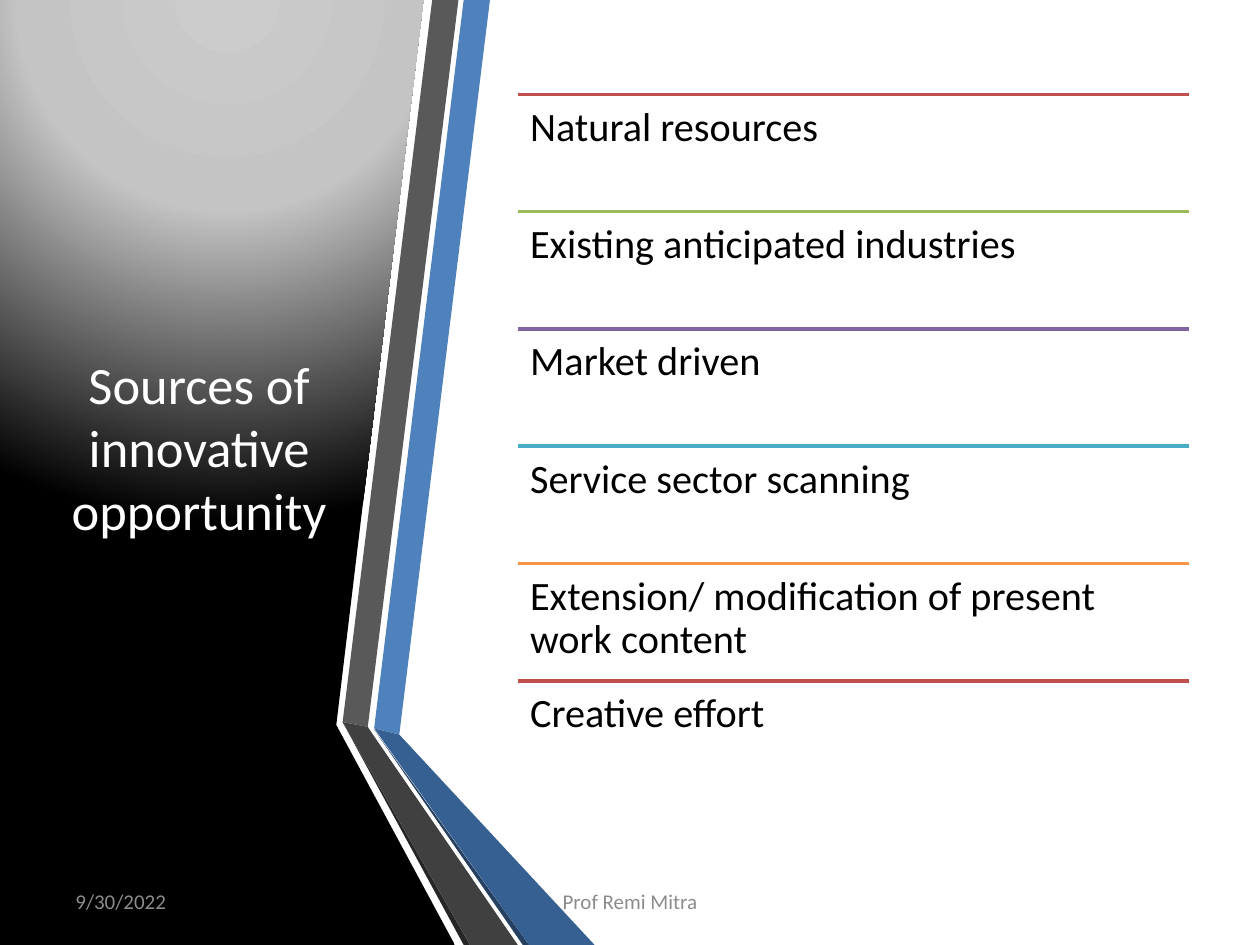
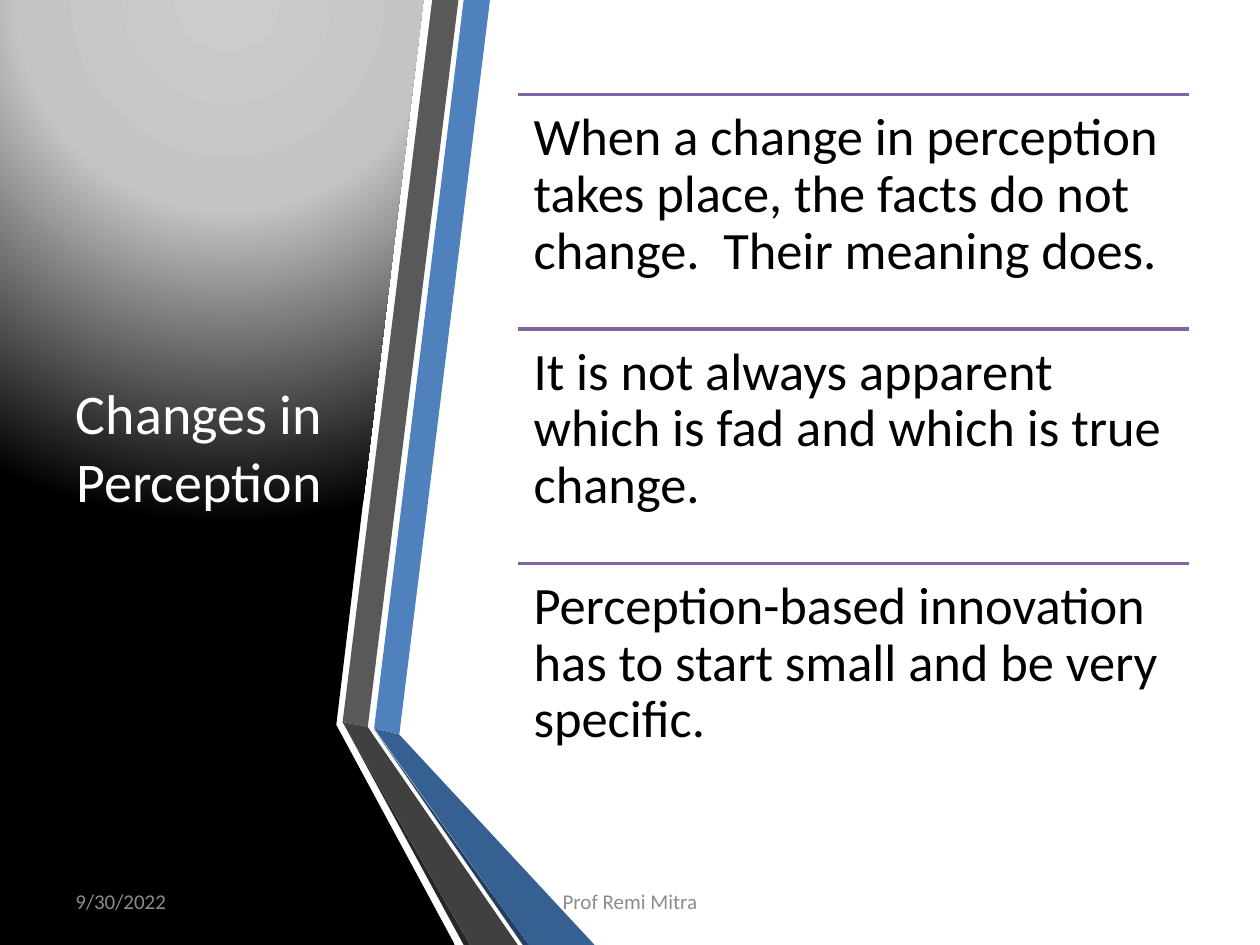
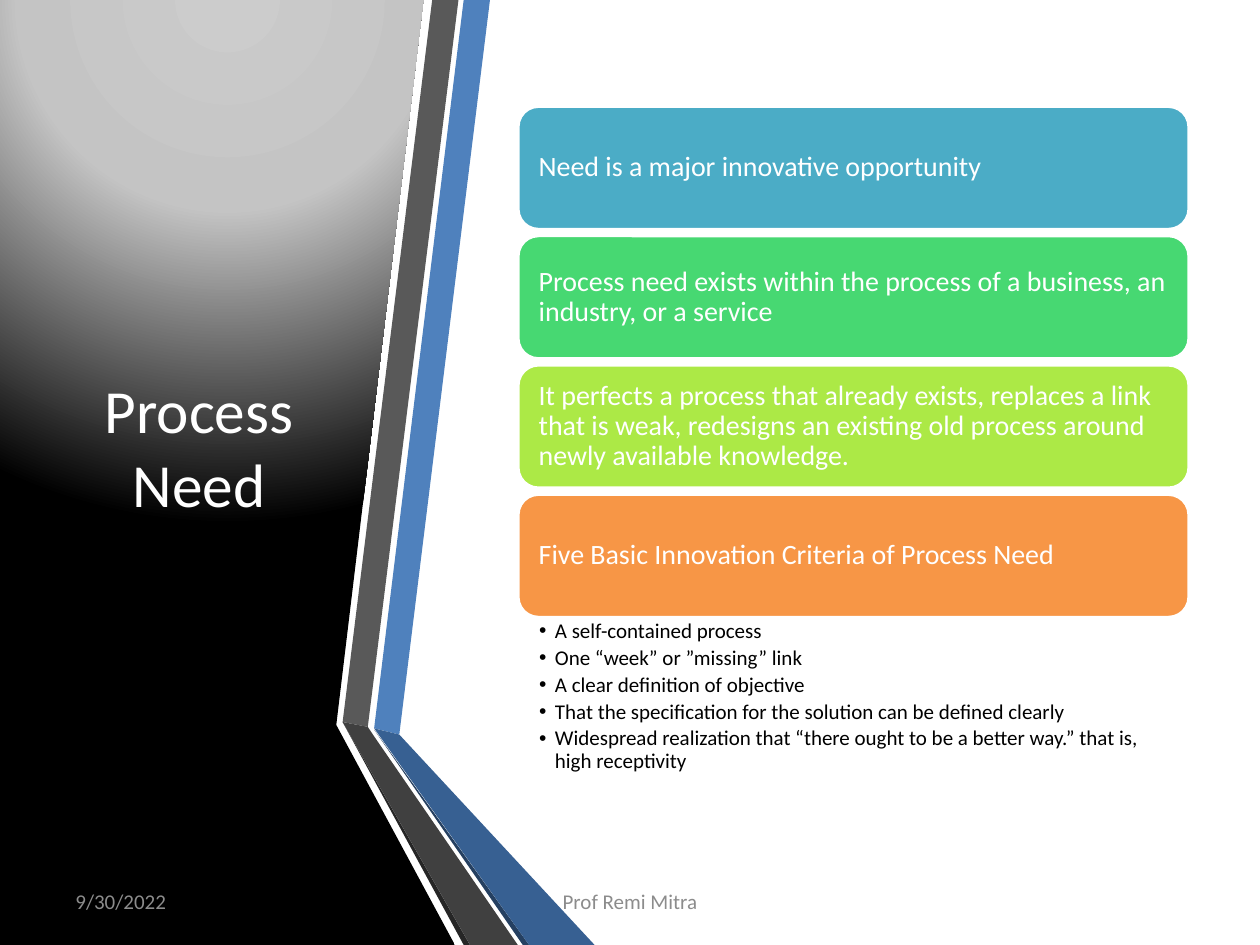
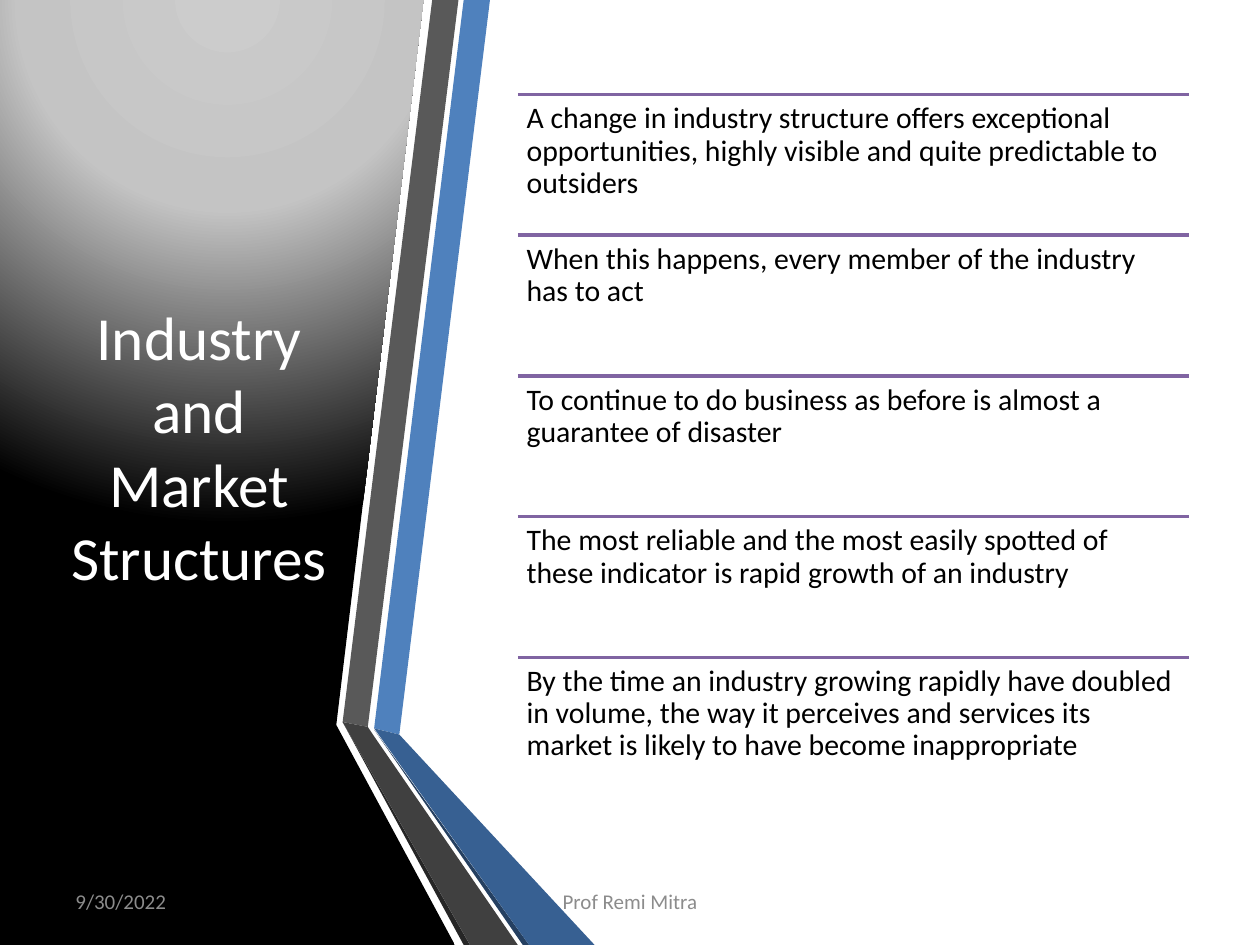
from dataclasses import dataclass
from itertools import cycle
from lxml.etree import SubElement
from pptx import Presentation
from pptx.dml.color import RGBColor
from pptx.enum.shapes import MSO_CONNECTOR, MSO_SHAPE
from pptx.enum.text import MSO_ANCHOR, MSO_AUTO_SIZE, PP_ALIGN
from pptx.oxml.ns import qn
from pptx.util import Pt


@dataclass(frozen=True)
class Theme:
    font: str = "Calibri"
    ink: str = "000000"
    paper: str = "FFFFFF"
    footer: str = "8C8C8C"
    blue: str = "4F81BD"
    deep_blue: str = "376092"
    navy: str = "254061"
    grey: str = "595959"
    charcoal: str = "404040"
    shade: str = "262626"
    red: str = "C0504D"
    green: str = "9BBB59"
    purple: str = "8064A2"
    teal: str = "4BACC6"
    orange: str = "F79646"
    emerald: str = "47D872"
    lime: str = "ACE946"
    glow: tuple = ((0, "CCCCCC"), (40, "C4C4C4"), (100, "000000"))
    card_size: float = 16
    small_size: float = 12
    rule_width: float = 2
    line_spacing: float = 0.9


THEME = Theme()

SLIDES = [
    {
        "title": "Sources of innovative opportunity", "title_size": 30,
        "rows": [
            "Natural resources",
            "Existing anticipated industries",
            "Market driven",
            "Service sector scanning",
            "Extension/ modification of present work content",
            "Creative effort",
        ],
        "row_size": 23, "inset": 7,
        "rules": [THEME.red, THEME.green, THEME.purple, THEME.teal, THEME.orange],
    },
    {
        "title": "Changes in Perception", "title_size": 32,
        "rows": [
            "When a change in perception takes place, the facts do not change.  Their meaning does.",
            "It is not always apparent which is fad and which is true change.",
            "Perception-based innovation has to start small and be very specific.",
        ],
        "row_size": 30, "inset": 9,
        "rules": [THEME.purple],
    },
    {
        "title": "Process Need", "title_size": 35,
        "cards": [
            ("Need is a major innovative opportunity", THEME.teal),
            ("Process need exists within the process of a business, an industry, or a service",
             THEME.emerald),
            ("It perfects a process that already exists, replaces a link that is weak, "
             "redesigns an existing old process around newly available knowledge.", THEME.lime),
            ("Five Basic Innovation Criteria of Process Need", THEME.orange),
        ],
        "criteria": [
            "A self-contained process",
            "One “week” or ”missing” link",
            "A clear definition of objective",
            "That the specification for the solution can be defined clearly",
            "Widespread realization that “there ought to be a better way.” that is, high receptivity",
        ],
    },
    {
        "title": "Industry and Market Structures", "title_size": 35,
        "rows": [
            "A change in industry structure offers exceptional opportunities, "
            "highly visible and quite predictable to outsiders",
            "When this happens, every member of the industry has to act",
            "To continue to do business as before is almost a guarantee of disaster",
            "The most reliable and the most easily spotted of these indicator "
            "is rapid growth of an industry",
            "By the time an industry growing rapidly have doubled in volume, the way it perceives "
            "and services its market is likely to have become inappropriate",
        ],
        "row_size": 17, "inset": 5,
        "rules": [THEME.purple],
    },
]

FOOTERS = [
    ("9/30/2022", (36, 500.5, 168, 28.75), PP_ALIGN.LEFT),
    ("Prof Remi Mitra", (246, 500.5, 228, 28.75), PP_ALIGN.CENTER),
]

PANEL = [(0, 0), (242, 0), (192.2, 414.3), (260, 540), (0, 540)]
BANDS = [
    (THEME.blue, [(213.8, 416.2), (228.2, 419.8), (280, 0), (265, 0)]),
    (THEME.grey, [(262, 0), (247, 0), (195.8, 412.6), (210.2, 415.4)]),
    (THEME.shade, [(195.8, 412.6), (265, 540), (268.6, 540)]),
    (THEME.navy, [(213.8, 416.9), (298.8, 540), (302.4, 540)]),
    (THEME.deep_blue, [(213.8, 416.2), (302.4, 540), (339.8, 540), (228.2, 419.8)]),
    (THEME.charcoal, [(295.9, 540), (213.1, 419.8), (210.2, 415.4), (195.8, 412.6), (268.6, 540)]),
]

TITLE_BOX = (31.7, 54, 164.2, 401.8)
LEFT, TOP, WIDTH, HEIGHT = 295.9, 54, 383.6, 402
CARD_TOP, CARD_HEIGHT, CARD_PITCH = 60.7, 70.5, 73.9
CARD_INSET = 8.5
CRITERIA_HEIGHT = 96.5
BULLET_INDENT = 9


def place(shape, box):
    shape.left, shape.top, shape.width, shape.height = map(Pt, box)


def fill_solid(shape, color):
    shape.fill.solid()
    shape.fill.fore_color.rgb = RGBColor.from_string(color)


def set_frame(frame, insets, anchor):
    frame.word_wrap = True
    frame.auto_size = MSO_AUTO_SIZE.NONE
    frame.vertical_anchor = anchor
    frame.margin_left, frame.margin_top, frame.margin_right, frame.margin_bottom = map(Pt, insets)


def style(paragraph, size, color, align=PP_ALIGN.LEFT, spacing=None):
    paragraph.alignment = align
    paragraph.line_spacing = spacing
    paragraph.font.name = THEME.font
    paragraph.font.size = Pt(size)
    paragraph.font.color.rgb = RGBColor.from_string(color)


def add_text(slide, text, box, inset, anchor, size, color, **paragraph_style):
    label = slide.shapes.add_textbox(*map(Pt, box))
    set_frame(label.text_frame, inset, anchor)
    label.text_frame.text = text
    style(label.text_frame.paragraphs[0], size, color, **paragraph_style)


def add_outline(shapes, points):
    corners = [(Pt(x), Pt(y)) for x, y in points]
    builder = shapes.build_freeform(*corners[0])
    builder.add_line_segments(corners[1:], close=True)
    outline = builder.convert_to_shape()
    outline.shadow.inherit = False
    outline.line.fill.background()
    return outline


def fill_glow(shape):
    shape.fill.gradient()
    gradient = shape.element.spPr.find(qn("a:gradFill"))
    for child in list(gradient):
        gradient.remove(child)
    stops = SubElement(gradient, qn("a:gsLst"))
    for percent, color in THEME.glow:
        stop = SubElement(stops, qn("a:gs"), pos=str(percent * 1000))
        SubElement(stop, qn("a:srgbClr"), val=color)
    circle = SubElement(gradient, qn("a:path"), **{"path": "circle"})
    SubElement(circle, qn("a:fillToRect"), l="50000", t="-80000", r="50000", b="180000")


def add_backdrop(slide):
    fill_glow(add_outline(slide.shapes, PANEL))
    bands = slide.shapes.add_group_shape()
    for color, points in BANDS:
        fill_solid(add_outline(bands.shapes, points), color)


def add_title(slide, text, size):
    title = slide.shapes.title
    slide.shapes.element.append(title.element)
    place(title, TITLE_BOX)
    set_frame(title.text_frame, (7.2, 3.6, 7.2, 3.6), MSO_ANCHOR.MIDDLE)
    title.text_frame.text = text
    style(title.text_frame.paragraphs[0], size, THEME.paper, PP_ALIGN.CENTER)


def add_rule(slide, y, color):
    rule = slide.shapes.add_connector(
        MSO_CONNECTOR.STRAIGHT, Pt(LEFT), Pt(y), Pt(LEFT + WIDTH), Pt(y))
    rule.line.width = Pt(THEME.rule_width)
    rule.line.color.rgb = RGBColor.from_string(color)
    SubElement(rule.element.spPr, qn("a:effectLst"))


def add_rows(slide, rows, size, inset, rules):
    row_height = HEIGHT / len(rows)
    for index, (text, color) in enumerate(zip(rows, cycle(rules))):
        y = TOP + index * row_height
        add_rule(slide, y, color)
        add_text(slide, text, (LEFT, y, WIDTH, row_height), [inset] * 4, MSO_ANCHOR.TOP,
                 size, THEME.ink, spacing=THEME.line_spacing)


def add_cards(slide, cards):
    for index, (text, color) in enumerate(cards):
        box = (LEFT, CARD_TOP + index * CARD_PITCH, WIDTH, CARD_HEIGHT)
        card = slide.shapes.add_shape(MSO_SHAPE.ROUNDED_RECTANGLE, *map(Pt, box))
        card.shadow.inherit = False
        fill_solid(card, color)
        card.line.width = Pt(THEME.rule_width)
        card.line.color.rgb = RGBColor.from_string(THEME.paper)
        set_frame(card.text_frame, [CARD_INSET] * 4, MSO_ANCHOR.MIDDLE)
        card.text_frame.text = text
        style(card.text_frame.paragraphs[0], THEME.card_size, THEME.paper,
              spacing=THEME.line_spacing)


def add_criteria(slide, criteria, y):
    body = slide.placeholders[1]
    slide.shapes.element.append(body.element)
    place(body, (LEFT, y, WIDTH, CRITERIA_HEIGHT))
    set_frame(body.text_frame, (12.2, 1.5, 8.5, 1.5), MSO_ANCHOR.TOP)
    body.text_frame.text = "\n".join(criteria)
    for paragraph in body.text_frame.paragraphs:
        paragraph.level = 1
        properties = paragraph._p.get_or_add_pPr()
        properties.set("marL", str(Pt(BULLET_INDENT)))
        properties.set("indent", str(-Pt(BULLET_INDENT)))
        SubElement(properties, qn("a:buChar"), char="•")
        paragraph.space_before = Pt(0)
        paragraph.space_after = Pt(0.2 * THEME.small_size)
        style(paragraph, THEME.small_size, THEME.ink, spacing=THEME.line_spacing)


deck = Presentation()
deck.slide_width, deck.slide_height = Pt(720), Pt(540)
TITLE_AND_BODY, TITLE_ONLY = deck.slide_layouts[1], deck.slide_layouts[5]

for content in SLIDES:
    slide = deck.slides.add_slide(TITLE_AND_BODY if "criteria" in content else TITLE_ONLY)
    add_backdrop(slide)
    add_title(slide, content["title"], content["title_size"])
    if "rows" in content:
        add_rows(slide, content["rows"], content["row_size"], content["inset"], content["rules"])
    else:
        add_cards(slide, content["cards"])
        last_card = CARD_TOP + (len(content["cards"]) - 1) * CARD_PITCH
        add_criteria(slide, content["criteria"], last_card + CARD_HEIGHT)
    for text, box, align in FOOTERS:
        add_text(slide, text, box, (7.2, 3.6, 7.2, 3.6), MSO_ANCHOR.MIDDLE,
                 THEME.small_size, THEME.footer, align=align)

deck.save("out.pptx")
